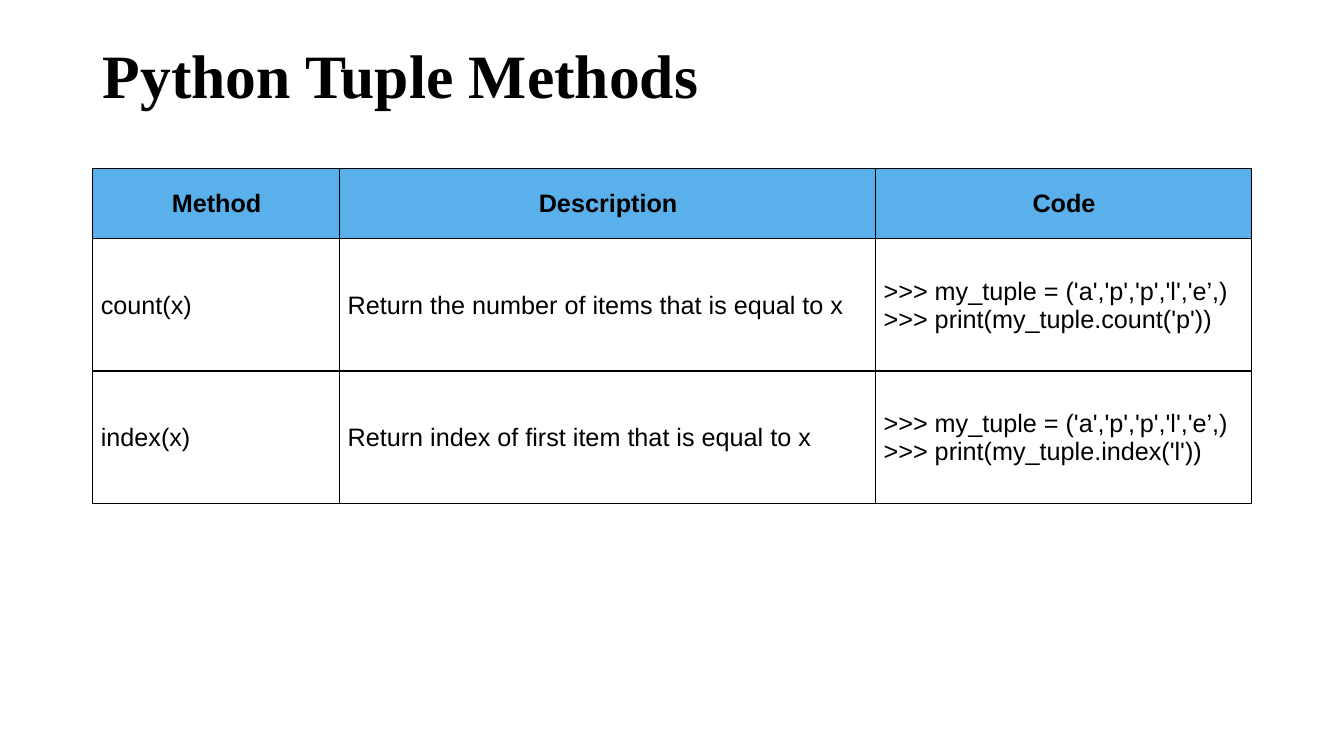
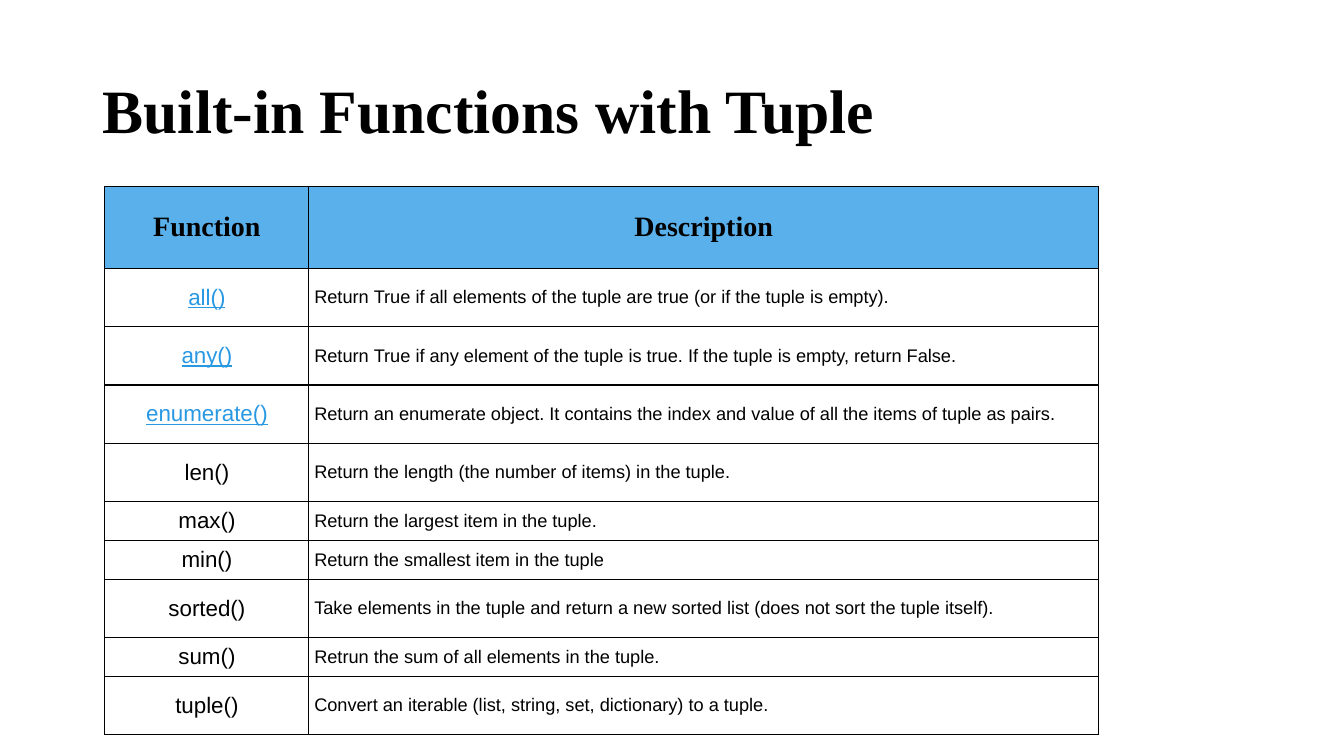
import lxml.etree
import pptx
import pptx.dml.color
import pptx.enum.text
import pptx.oxml.ns
import pptx.util

Cm = pptx.util.Cm
Pt = pptx.util.Pt
ALIGN = pptx.enum.text.PP_ALIGN
ANCHOR = pptx.enum.text.MSO_ANCHOR

COLORS = {"text": "000000", "header": "5AB0EA", "link": "2998E3", "border": "000000"}
SERIF, SANS = "Times New Roman", "Arial"
TITLE_BOX = (2.34, 1.02, 29.21, 3.68)
LINKED = {"all()", "any()", "enumerate()"}
TALL, SHORT = 1.47, 0.89

SLIDES = [
    {
        "title": "Python Tuple Methods",
        "title_anchor": ANCHOR.TOP,
        "origin": (2.34, 4.24),
        "widths": [6.22, 13.51, 9.47],
        "heights": [1.78, 3.33, 3.33],
        "header_font": (SANS, 18),
        "sizes": [18, 18, 18],
        "aligns": [ALIGN.LEFT] * 3,
        "header_insets": (0.2, 0.3, 0.18, 0.3),
        "body_insets": (0.2, 0.2, 0.18, 0.18),
        "rows": [
            ("Method", "Description", "Code"),
            ("count(x)", "Return the number of items that is equal to\u00a0x",
             ">>> my_tuple = ('a','p','p','l','e’,)\n>>> print(my_tuple.count('p'))"),
            ("index(x)", "Return index of first item that is equal to\u00a0x",
             ">>> my_tuple = ('a','p','p','l','e’,)\n>>> print(my_tuple.index('l'))"),
        ],
    },
    {
        "title": "Built-in Functions with Tuple",
        "title_anchor": ANCHOR.MIDDLE,
        "origin": (2.64, 4.7),
        "widths": [5.13, 19.91],
        "heights": [2.06, TALL, TALL, TALL, TALL, SHORT, SHORT, TALL, SHORT, TALL],
        "header_font": (SERIF, 20),
        "sizes": [16, 13],
        "aligns": [ALIGN.CENTER, ALIGN.LEFT],
        "header_insets": (0.15, 0.23, 0.13, 0.23),
        "body_insets": (0.15, 0.15, 0.13, 0.15),
        "rows": [
            ("Function", "Description"),
            ("all()", "Return\u00a0True\u00a0if all elements of the tuple are true (or if the tuple is empty)."),
            ("any()", "Return\u00a0True\u00a0if any element of the tuple is true. "
                      "If the tuple is empty, return\u00a0False."),
            ("enumerate()", "Return an enumerate object. It contains the index and value "
                            "of all the items of tuple as pairs."),
            ("len()", "Return the length (the number of items) in the tuple."),
            ("max()", "Return the largest item in the tuple."),
            ("min()", "Return the smallest item in the tuple"),
            ("sorted()", "Take elements in the tuple and return a new sorted list "
                         "(does not sort the tuple itself)."),
            ("sum()", "Retrun the sum of all elements in the tuple."),
            ("tuple()", "Convert an iterable (list, string, set, dictionary) to a tuple."),
        ],
    },
]


def rgb(name):
    return pptx.dml.color.RGBColor.from_string(COLORS[name])


def style_text(frame, font, size, color="text", bold=False, underline=False, align=ALIGN.LEFT):
    for paragraph in frame.paragraphs:
        paragraph.alignment = align
        for run in paragraph.runs:
            run.font.name = font
            run.font.size = Pt(size)
            run.font.bold = bold
            run.font.underline = underline
            run.font.color.rgb = rgb(color)


def add_title(slide, text, anchor):
    frame = slide.shapes.add_textbox(*map(Cm, TITLE_BOX)).text_frame
    frame.word_wrap = True
    frame.vertical_anchor = anchor
    frame.text = text
    frame.paragraphs[0].line_spacing = 0.9
    style_text(frame, SERIF, 44, bold=True)


def add_borders(cell):
    qn = pptx.oxml.ns.qn
    properties = cell._tc.get_or_add_tcPr()
    for position, side in enumerate(("a:lnL", "a:lnR", "a:lnT", "a:lnB")):
        line = lxml.etree.Element(qn(side), w=str(Pt(1)))
        fill = lxml.etree.SubElement(line, qn("a:solidFill"))
        lxml.etree.SubElement(fill, qn("a:srgbClr"), val=COLORS["border"])
        properties.insert(position, line)


def fill_cell(cell, text, insets):
    cell.text_frame.text = text
    cell.vertical_anchor = ANCHOR.MIDDLE
    cell.margin_left, cell.margin_top, cell.margin_right, cell.margin_bottom = map(Cm, insets)


def add_grid(slide, content):
    rows, widths, heights = content["rows"], content["widths"], content["heights"]
    area = (*content["origin"], sum(widths), sum(heights))
    table = slide.shapes.add_table(len(rows), len(widths), *map(Cm, area)).table
    table.horz_banding = False
    for column, width in zip(table.columns, widths):
        column.width = Cm(width)
    for r, (texts, height) in enumerate(zip(rows, heights)):
        table.rows[r].height = Cm(height)
        for c, text in enumerate(texts):
            cell = table.cell(r, c)
            if r == 0:
                fill_cell(cell, text, content["header_insets"])
                style_text(cell.text_frame, *content["header_font"], bold=True, align=ALIGN.CENTER)
                cell.fill.solid()
                cell.fill.fore_color.rgb = rgb("header")
            else:
                linked = text in LINKED
                fill_cell(cell, text, content["body_insets"])
                style_text(cell.text_frame, SANS, content["sizes"][c], "link" if linked else "text",
                           underline=linked, align=content["aligns"][c])
                cell.fill.background()
            add_borders(cell)


deck = pptx.Presentation()
deck.slide_width, deck.slide_height = Cm(33.87), Cm(19.05)
for content in SLIDES:
    slide = deck.slides.add_slide(deck.slide_layouts[6])
    add_title(slide, content["title"], content["title_anchor"])
    add_grid(slide, content)
deck.save("out.pptx")
